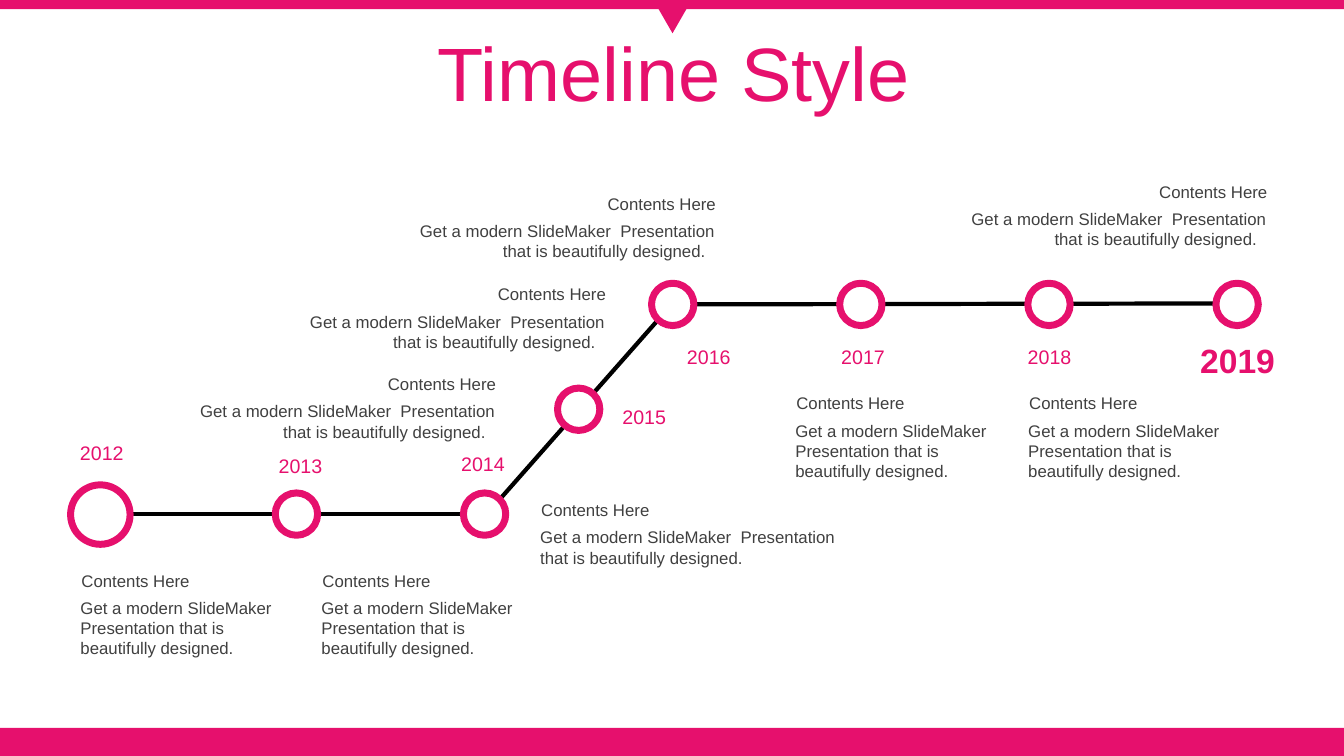
from lxml import etree
from pptx import Presentation
from pptx.dml.color import RGBColor
from pptx.enum.shapes import MSO_CONNECTOR, MSO_SHAPE
from pptx.enum.text import MSO_ANCHOR, MSO_AUTO_SIZE, PP_ALIGN
from pptx.oxml.ns import qn
from pptx.util import Inches, Pt

COLORS = {"pink": "E6106D", "text": "404040", "line": "000000", "white": "FFFFFF"}
FONT = "Arial"
HEADING = "Contents Here"
NARROW_BODY = "Get a modern SlideMaker  Presentation that is  beautifully designed."
WIDE_BODY = "Get a modern SlideMaker  Presentation that is beautifully designed."

LINES = [
    (1.29, 5.1, 4.6, 5.1),
    (6.67, 3.02, 12.49, 3.01),
    (4.96, 4.95, 6.53, 3.17),
]

# Small rings stand on a grid: column and row, counted from the 2013 ring.
RING_SIZE = 0.42
RING_X, RING_Y = 2.73, 4.89
STEP_X, STEP_Y = 1.866, 1.04
RING_GRID = [(0, 0), (1, 0), (1.5, 1), (2, 2), (3, 2), (4, 2), (5, 2)]

YEARS = [
    ("2012", 0.65, 4.33),
    ("2013", 2.62, 4.45),
    ("2014", 4.43, 4.43),
    ("2015", 6.03, 3.97),
    ("2016", 6.67, 3.37),
    ("2017", 8.2, 3.37),
    ("2018", 10.05, 3.37),
]

NARROW_NOTES = [(0.7, 5.61), (3.09, 5.61), (7.79, 3.85), (10.1, 3.85)]
RIGHT_NOTES = [(3.85, 1.87), (2.76, 2.77), (1.67, 3.66), (9.32, 1.75)]


def rgb(name):
    return RGBColor.from_string(COLORS[name])


class TimelineSlide:
    def __init__(self, prs):
        self.slide = prs.slides.add_slide(prs.slide_layouts[5])
        self.shapes = self.slide.shapes

    def style(self, p, size, color, align=PP_ALIGN.LEFT, bold=False):
        p.alignment = align
        p.font.name = FONT
        p.font.size = Pt(size)
        p.font.bold = bold
        p.font.color.rgb = rgb(color)

    def title(self, text, x, y, w, h):
        sp = self.shapes.title
        sp.left, sp.top, sp.width, sp.height = map(Inches, (x, y, w, h))
        tf = sp.text_frame
        tf.text = text
        tf.auto_size = MSO_AUTO_SIZE.NONE
        tf.vertical_anchor = MSO_ANCHOR.MIDDLE
        p = tf.paragraphs[0]
        p.line_spacing = 0.9
        self.style(p, 54, "pink", PP_ALIGN.CENTER)

    def shape(self, kind, x, y, w, h, fill="pink"):
        sp = self.shapes.add_shape(kind, *map(Inches, (x, y, w, h)))
        sp.shadow.inherit = False
        sp.fill.solid()
        sp.fill.fore_color.rgb = rgb(fill)
        sp.line.fill.background()
        return sp

    def ring(self, x, y, size):
        sp = self.shape(MSO_SHAPE.OVAL, x, y, size, size, "white")
        sp.line.color.rgb = rgb("pink")
        sp.line.width = Pt(5)

    def line(self, x1, y1, x2, y2):
        cxn = self.shapes.add_connector(
            MSO_CONNECTOR.STRAIGHT, *map(Inches, (x1, y1, x2, y2)))
        cxn.line.color.rgb = rgb("line")
        cxn.line.width = Pt(3)
        etree.SubElement(cxn._element.spPr, qn("a:effectLst"))

    def text(self, text, x, y, w, h, size, color, align=PP_ALIGN.LEFT, bold=False):
        sp = self.shapes.add_textbox(*map(Inches, (x, y, w, h)))
        tf = sp.text_frame
        tf.word_wrap = True
        tf.auto_size = MSO_AUTO_SIZE.SHAPE_TO_FIT_TEXT
        tf.text = text
        self.style(tf.paragraphs[0], size, color, align, bold)

    def year(self, text, x, y, w=0.72, h=0.34, size=14, bold=False):
        self.text(text, x, y, w, h, size, "pink", PP_ALIGN.CENTER, bold)

    def note(self, body, x, y, w, h, align=PP_ALIGN.LEFT):
        """Place a heading with its body text just below it."""
        self.text(body, x, y + 0.27, w, h, 12, "text", align)
        self.text(HEADING, x + 0.01, y, w, 0.3, 12, "text", align)


def main():
    prs = Presentation()
    prs.slide_width, prs.slide_height = Inches(13.33), Inches(7.5)
    s = TimelineSlide(prs)

    s.shape(MSO_SHAPE.RECTANGLE, 0, 7.22, 13.33, 0.28)
    s.shape(MSO_SHAPE.RECTANGLE, 0, 0, 13.33, 0.09)
    s.shape(MSO_SHAPE.ISOSCELES_TRIANGLE, 6.48, 0, 0.38, 0.33).rotation = 180
    s.title("Timeline Style", 0.35, 0.37, 12.66, 0.79)

    for ends in LINES:
        s.line(*ends)
    s.ring(0.7, 4.81, 0.59)
    for col, row in RING_GRID:
        s.ring(RING_X + col * STEP_X, RING_Y - row * STEP_Y, RING_SIZE)

    for label, x, y in YEARS:
        s.year(label, x, y)
    s.year("2019", 11.76, 3.32, 1.03, 0.5, 24, True)

    for x, y in NARROW_NOTES:
        s.note(NARROW_BODY, x, y, 2.16, 0.71)
    s.note(WIDE_BODY, 5.26, 4.91, 3.34, 0.5)
    for x, y in RIGHT_NOTES:
        s.note(WIDE_BODY + "  ", x, y, 3.34, 0.5, PP_ALIGN.RIGHT)

    prs.save("out.pptx")


if __name__ == "__main__":
    main()
